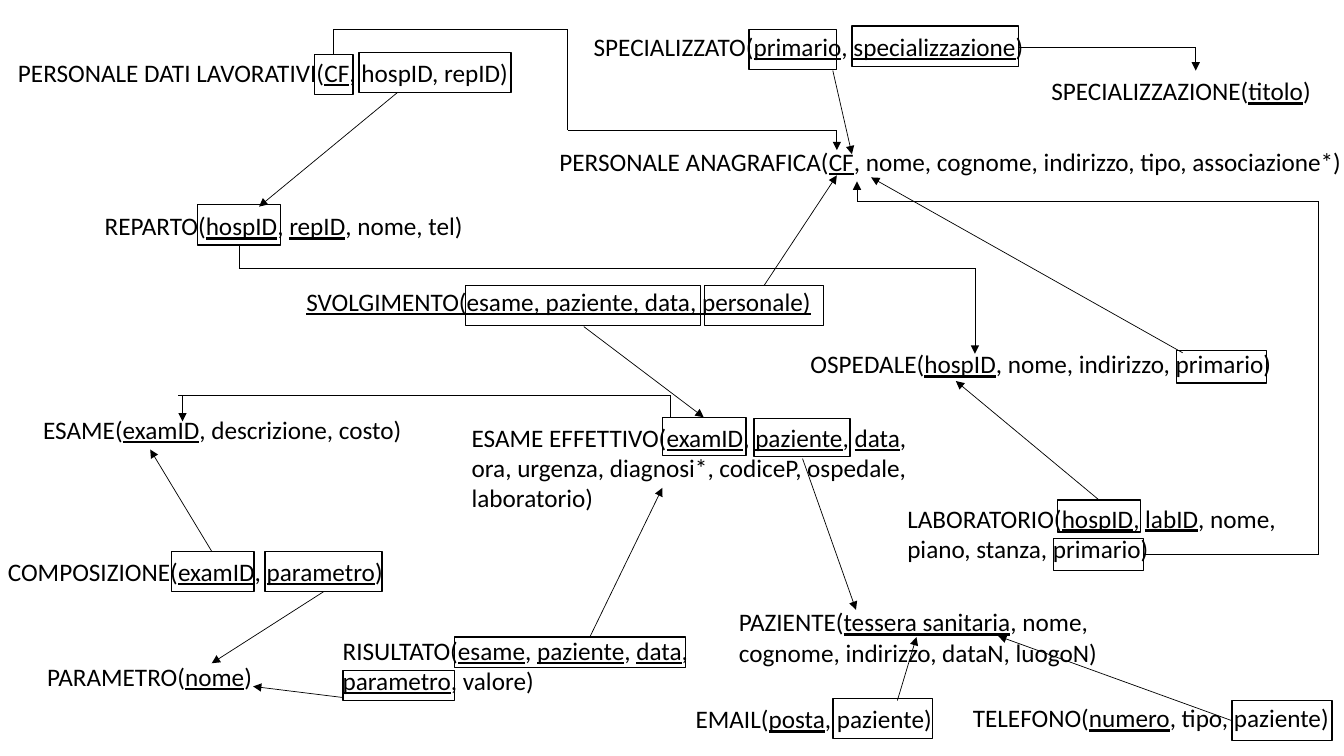
import pptx
import pptx.util
import pptx.dml.color
import pptx.enum.shapes
import pptx.enum.text
from lxml import etree
from itertools import pairwise

Inches, Pt = pptx.util.Inches, pptx.util.Pt
COLORS = {"ink": "000000", "background": "FFFFFF"}
FONT = "Calibri"
LINE_HEIGHT, TEXT_PAD = 0.3, 0.1

# Underscores delimit underlined key attributes.
RELATIONS = [
    (7.94, 3.41, 5.35, ["OSPEDALE(_hospID_, nome, indirizzo, primario)"]),
    (0.94, 2.04, 5.33, ["REPARTO(_hospID_, _repID_, nome, tel)"]),
    (8.9, 4.94, 3.91, ["LABORATORIO(_hospID_, _labID_, nome, ", "piano, stanza, primario)"]),
    (5.45, 1.4, 8.06, ["PERSONALE ANAGRAFICA(_CF_, nome, cognome, indirizzo, tipo, associazione*)"]),
    (0.08, 0.52, 5.33, ["PERSONALE DATI LAVORATIVI(_CF_, hospID, repID)"]),
    (5.79, 0.26, 5.33, ["SPECIALIZZATO(_primario_, _specializzazione_)"]),
    (10.33, 0.7, 3.06, ["SPECIALIZZAZIONE(_titolo_)"]),
    (7.23, 5.97, 3.78, ["PAZIENTE(_tessera sanitaria_, nome, ", "cognome, indirizzo, dataN, luogoN)"]),
    (6.8, 6.93, 2.55, ["EMAIL(_posta_, paziente)"]),
    (9.55, 6.92, 3.78, ["TELEFONO(_numero_, tipo, paziente)"]),
    (4.58, 4.14, 4.64, ["ESAME EFFETTIVO(_examID_, _paziente_, _data_,",
                        "ora, urgenza, diagnosi*, codiceP, ospedale, laboratorio)"]),
    (2.94, 2.79, 5.33, ["_SVOLGIMENTO(esame, paziente, data, personale)_"]),
    (0.37, 6.51, 2.37, ["PARAMETRO(_nome_)"]),
    (0.33, 4.06, 3.78, ["ESAME(_examID_, descrizione, costo)"]),
    (-0.02, 5.47, 3.93, ["COMPOSIZIONE(_examID_, _parametro_)"]),
    (3.3, 6.25, 3.64, ["RISULTATO(_esame_, _paziente_, _data_, ", "_parametro_, valore)"]),
]

KEY_BOXES = [
    (8.45, 0.26, 1.65, 0.4), (7.43, 0.29, 0.87, 0.4),
    (3.12, 0.54, 0.38, 0.4), (3.56, 0.52, 1.51, 0.4),
    (4.62, 2.83, 2.33, 0.4), (6.99, 2.83, 1.18, 0.4),
    (1.7, 5.47, 0.82, 0.4), (2.63, 5.47, 1.16, 0.4),
    (8.26, 6.93, 0.99, 0.4), (12.22, 6.95, 0.99, 0.4),
    (6.57, 4.14, 0.83, 0.38), (7.48, 4.15, 0.95, 0.38),
    (4.51, 6.32, 2.29, 0.3), (3.4, 6.65, 1.11, 0.3),
    (1.96, 2.03, 0.82, 0.4), (10.49, 4.96, 0.82, 0.32),
    (10.45, 5.34, 0.89, 0.32), (11.67, 3.48, 0.89, 0.32),
]

REFERENCES = [
    [(10.1, 0.47), (11.86, 0.47), (11.86, 0.7)],
    [(8.26, 0.7), (8.45, 1.53)],
    [(3.31, 0.54), (3.31, 0.29), (5.63, 0.29), (5.63, 1.29), (8.3, 1.29), (8.3, 1.49)],
    [(5.79, 3.24), (6.98, 4.14)],
    [(7.58, 2.83), (8.3, 1.74)],
    [(3.94, 0.92), (2.57, 2.05)],
    [(3.21, 5.87), (2.1, 6.58)],
    [(2.1, 5.47), (1.49, 4.46)],
    [(5.85, 6.32), (6.57, 4.84)],
    [(6.65, 4.14), (6.65, 3.92), (1.77, 3.92)],
    [(1.81, 3.92), (1.81, 4.18)],
    [(3.4, 6.92), (2.51, 6.81)],
    [(8.9, 6.95), (9.09, 6.32)],
    [(12.22, 7.15), (9.9, 6.31)],
    [(7.96, 4.55), (8.49, 6.05)],
    [(2.37, 2.44), (2.37, 2.66), (9.67, 2.66), (9.67, 3.51)],
    [(10.9, 4.96), (9.48, 3.78)],
    [(11.34, 5.5), (13.08, 5.5), (13.08, 2), (8.5, 2), (8.5, 1.8)],
    [(11.73, 3.5), (8.64, 1.76)],
]
PLAIN_ENDS = {(1.77, 3.92)}


def rgb(name):
    return pptx.dml.color.RGBColor.from_string(COLORS[name])


def add_relation(s, x, y, w, lines):
    rows = 3 if lines[0].startswith("ESAME EFFETTIVO") else len(lines)
    h = rows * LINE_HEIGHT + TEXT_PAD
    tf = s.shapes.add_textbox(Inches(x), Inches(y), Inches(w), Inches(h)).text_frame
    tf.word_wrap = True
    tf.auto_size = pptx.enum.text.MSO_AUTO_SIZE.SHAPE_TO_FIT_TEXT
    for i, line in enumerate(lines):
        p = tf.add_paragraph() if i else tf.paragraphs[0]
        for j, part in enumerate(line.split("_")):
            if part:
                r = p.add_run()
                r.text = part
                r.font.name, r.font.size = FONT, Pt(18)
                r.font.color.rgb = rgb("ink")
                r.font.underline = j % 2 == 1


def add_key_box(s, *box):
    sp = s.shapes.add_shape(pptx.enum.shapes.MSO_SHAPE.RECTANGLE, *map(Inches, box))
    sp.shadow.inherit = False
    sp.fill.background()
    sp.line.color.rgb = rgb("ink")
    sp.line.width = Pt(1)


def add_reference(s, points):
    for start, end in pairwise(points):
        c = s.shapes.add_connector(pptx.enum.shapes.MSO_CONNECTOR.STRAIGHT,
                                   *map(Inches, start + end))
        c.line.color.rgb = rgb("ink")
        c.line.width = Pt(0.5)
        if end == points[-1] and end not in PLAIN_ENDS:
            ln = c.line._get_or_add_ln()
            etree.SubElement(ln, pptx.oxml.ns.qn("a:tailEnd"), type="triangle")
        etree.SubElement(c._element.spPr, pptx.oxml.ns.qn("a:effectLst"))


prs = pptx.Presentation()
prs.slide_width, prs.slide_height = Inches(13.33), Inches(7.5)
s = prs.slides.add_slide(prs.slide_layouts[6])
s.background.fill.solid()
s.background.fill.fore_color.rgb = rgb("background")
for relation in RELATIONS:
    add_relation(s, *relation)
for box in KEY_BOXES:
    add_key_box(s, *box)
for points in REFERENCES:
    add_reference(s, points)
prs.save("out.pptx")
